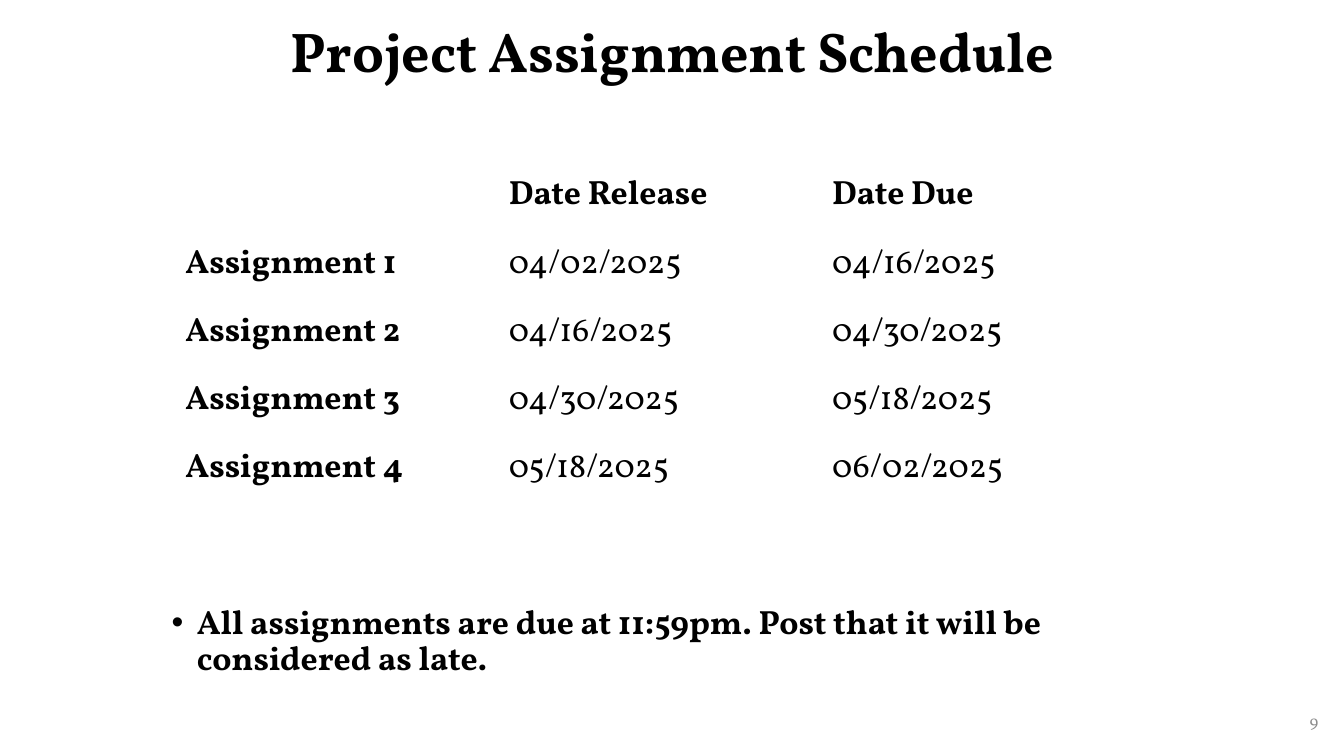
from dataclasses import dataclass

from lxml import etree
from pptx import Presentation
from pptx.dml.color import RGBColor
from pptx.enum.text import MSO_ANCHOR, MSO_AUTO_SIZE, PP_ALIGN
from pptx.oxml.ns import qn
from pptx.util import Pt

PX = 9525  # EMU per px, 96 px to the inch
FONT = "Vollkorn"
COLORS = {"text": "000000", "number": "8C8C8C"}
LEFT, CENTER, RIGHT = PP_ALIGN.LEFT, PP_ALIGN.CENTER, PP_ALIGN.RIGHT
TOP, MIDDLE = MSO_ANCHOR.TOP, MSO_ANCHOR.MIDDLE
NO_AUTOFIT = MSO_AUTO_SIZE.NONE


@dataclass
class TextBlock:
    text: str
    box: tuple[int, int, int, int]
    size: int
    bold: bool = True
    color: str = "text"
    align: PP_ALIGN = LEFT
    anchor: MSO_ANCHOR = TOP
    spacing: float = 1.0
    bullet_indent: int = 0


TITLE = TextBlock("Project Assignment Schedule", (88, 0, 1104, 104), 40,
                  align=CENTER, anchor=MIDDLE, spacing=0.9)
NOTE = TextBlock("All assignments are due at 11:59pm. Post that it will be "
                 "considered as late.", (154, 572, 851, 95), 24,
                 spacing=0.9, bullet_indent=24)
NUMBER = TextBlock("9", (977, 667, 288, 38), 12, bold=False, color="number",
                   align=RIGHT, anchor=MIDDLE)

SCHEDULE = [
    ("", "Date Release", "Date Due"),
    ("Assignment 1", "04/02/2025", "04/16/2025"),
    ("Assignment 2", "04/16/2025", "04/30/2025"),
    ("Assignment 3", "04/30/2025", "05/18/2025"),
    ("Assignment 4", "05/18/2025", "06/02/2025"),
]
TABLE_LEFT, TABLE_TOP = 167, 160
COLUMN_WIDTHS = (308, 308, 235)
ROW_HEIGHT = 65
TABLE_SIZE = 24


def add_run(p, text: str, size: int, bold: bool, color: str = "text") -> None:
    r = p.add_run()
    r.text = text
    r.font.name = FONT
    r.font.size = Pt(size)
    r.font.bold = bold
    r.font.color.rgb = RGBColor.from_string(COLORS[color])


def add_bullet(p, indent: int) -> None:
    pPr = p._p.get_or_add_pPr()
    pPr.set("marL", str(indent * PX))
    pPr.set("indent", str(-indent * PX))
    font = etree.SubElement(pPr, qn("a:buFont"))
    font.set("typeface", "Arial")
    etree.SubElement(pPr, qn("a:buChar")).set("char", "•")


def fill_text(sp, block: TextBlock) -> None:
    sp.left, sp.top, sp.width, sp.height = (v * PX for v in block.box)
    tf = sp.text_frame
    tf.word_wrap = True
    tf.auto_size = NO_AUTOFIT
    tf.vertical_anchor = block.anchor
    p = tf.paragraphs[0]
    if block.bullet_indent:
        add_bullet(p, block.bullet_indent)
    p.alignment = block.align
    p.line_spacing = block.spacing
    add_run(p, block.text, block.size, block.bold, block.color)


def add_text(s, block: TextBlock) -> None:
    fill_text(s.shapes.add_textbox(0, 0, 0, 0), block)


def add_schedule(s) -> None:
    frame = s.shapes.add_table(
        len(SCHEDULE), len(COLUMN_WIDTHS), TABLE_LEFT * PX, TABLE_TOP * PX,
        sum(COLUMN_WIDTHS) * PX, len(SCHEDULE) * ROW_HEIGHT * PX)
    table = frame.table
    table.horz_banding = False
    table.first_col = True
    for column, width in zip(table.columns, COLUMN_WIDTHS):
        column.width = width * PX
    for i, row in enumerate(SCHEDULE):
        table.rows[i].height = ROW_HEIGHT * PX
        for j, text in enumerate(row):
            cell = table.cell(i, j)
            cell.fill.background()
            if text:
                is_header = i == 0 or j == 0
                add_run(cell.text_frame.paragraphs[0], text, TABLE_SIZE, is_header)


def main() -> None:
    prs = Presentation()
    prs.slide_width, prs.slide_height = 1280 * PX, 720 * PX
    s = prs.slides.add_slide(prs.slide_layouts[5])

    # Title
    fill_text(s.shapes.title, TITLE)

    # Schedule table
    add_schedule(s)

    # Deadline note and slide number
    add_text(s, NOTE)
    add_text(s, NUMBER)

    prs.save("out.pptx")


if __name__ == "__main__":
    main()
